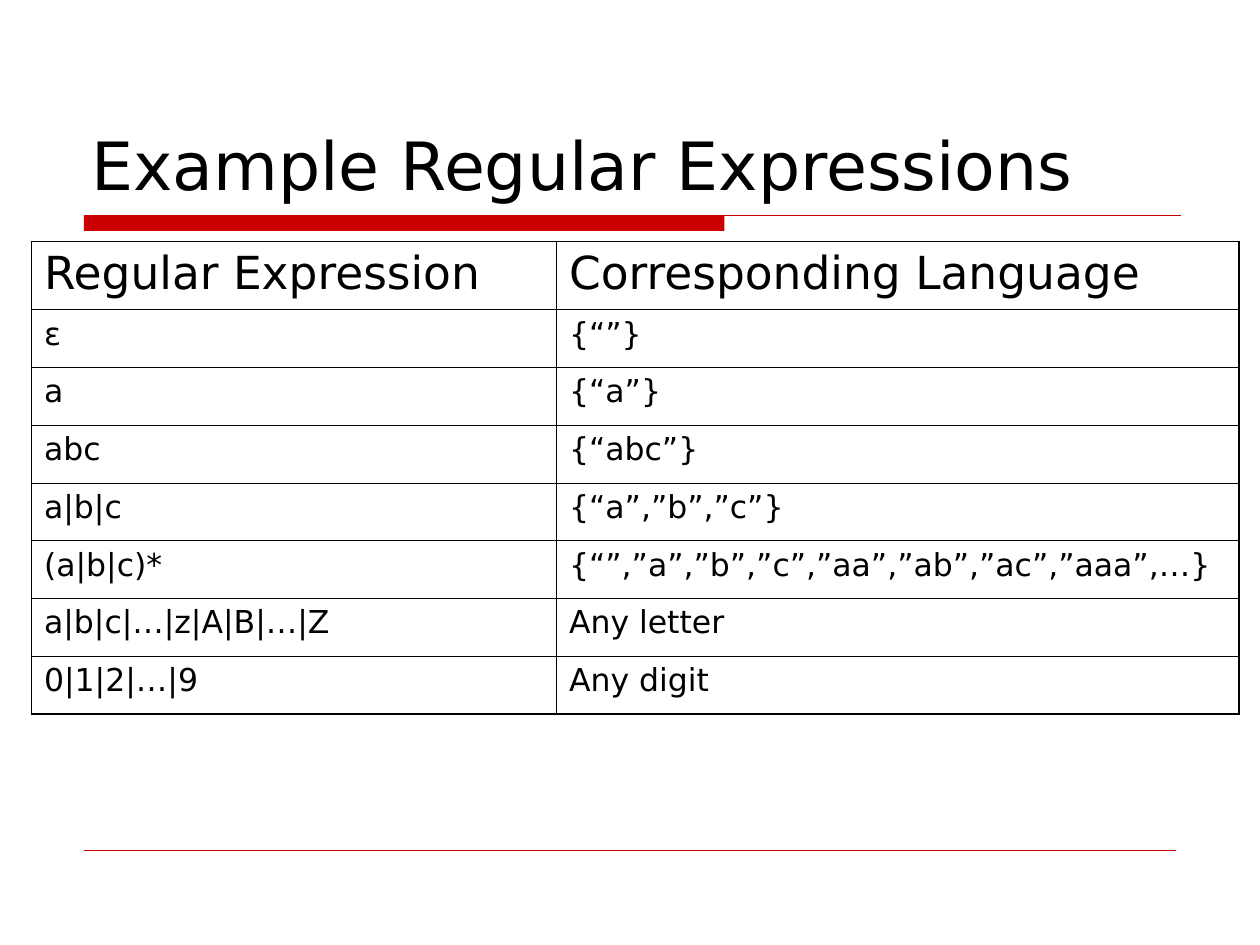
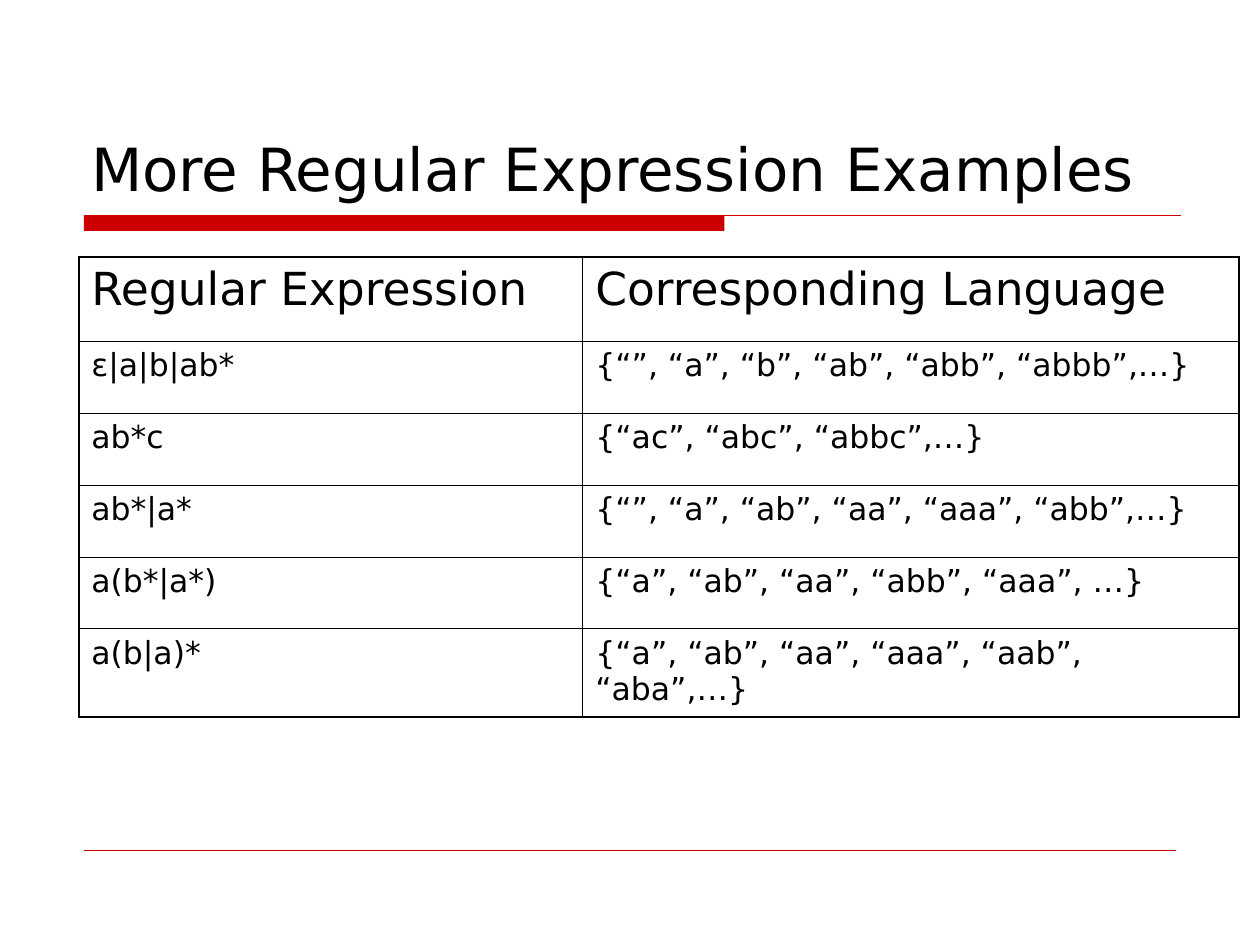
from lxml import etree
from pptx import Presentation
from pptx import util as u
from pptx.dml.color import RGBColor
from pptx.enum import shapes, text
from pptx.oxml.ns import qn

RED, BLACK, WHITE = "CC0000", "000000", "FFFFFF"
FONT = "DejaVu Sans"
HEADINGS = ("Regular Expression", "Corresponding Language")
THICK, THIN = u.Pt(1.08), u.Pt(0.45)

prs = Presentation()
prs.slide_width, prs.slide_height = u.Inches(10), u.Inches(7.5)
G = prs.slide_width // 240  # grid step: 240 columns by 180 rows


def color(value):
    return RGBColor.from_string(value)


def add_run(p, words, size):
    r = p.add_run()
    r.text = words
    r.font.name, r.font.size = FONT, u.Pt(size)
    r.font.color.rgb = color(BLACK)


# Titles and tables; lengths in grid steps
slides = [
    dict(title="Example Regular Expressions", size=38,
         left=6, top=46, cols=(100, 130), head=13, row=11,
         rows=[("ε", "{“”}"),
               ("a", "{“a”}"),
               ("abc", "{“abc”}"),
               ("a|b|c", "{“a”,”b”,”c”}"),
               ("(a|b|c)*", "{“”,”a”,”b”,”c”,”aa”,”ab”,”ac”,”aaa”,…}"),
               ("a|b|c|…|z|A|B|…|Z", "Any letter"),
               ("0|1|2|…|9", "Any digit")]),
    dict(title="More Regular Expression Examples", size=34,
         left=15, top=49, cols=(96, 125), head=16, row=13.7,
         rows=[("ε|a|b|ab*", "{“”, “a”, “b”, “ab”, “abb”, “abbb”,…}"),
               ("ab*c", "{“ac”, “abc”, “abbc”,…}"),
               ("ab*|a*", "{“”, “a”, “ab”, “aa”, “aaa”, “abb”,…}"),
               ("a(b*|a*)", "{“a”, “ab”, “aa”, “abb”, “aaa”, …}"),
               ("a(b|a)*", "{“a”, “ab”, “aa”, “aaa”, “aab”, “aba”,…}")]),
]

for s in slides:
    slide = prs.slides.add_slide(prs.slide_layouts[6])
    slide.background.fill.solid()
    slide.background.fill.fore_color.rgb = color(WHITE)

    # Red bar under the title
    bar = slide.shapes.add_shape(shapes.MSO_SHAPE.RECTANGLE,
                                 16 * G, 41 * G, 122 * G, 3 * G)
    bar.shadow.inherit = False
    bar.fill.solid()
    bar.fill.fore_color.rgb = color(RED)
    bar.line.fill.background()

    # Title rule and footer rule
    for right, y, width in ((225, 41, 0.75), (224, 162, 0.25)):
        rule = slide.shapes.add_connector(shapes.MSO_CONNECTOR.STRAIGHT,
                                          16 * G, y * G, right * G, y * G)
        rule.line.color.rgb = color(RED)
        rule.line.width = u.Pt(width)
        etree.SubElement(rule._element.spPr, qn("a:effectLst"))

    # Title
    tf = slide.shapes.add_textbox(15 * G, 8 * G, 210 * G, 32 * G).text_frame
    tf.word_wrap = True
    tf.vertical_anchor = text.MSO_ANCHOR.BOTTOM
    add_run(tf.paragraphs[0], s["title"], s["size"])

    # Table
    rows = [HEADINGS] + s["rows"]
    heights = [s["head"]] + [s["row"]] * len(s["rows"])
    table = slide.shapes.add_table(
        len(rows), 2, s["left"] * G, s["top"] * G,
        sum(s["cols"]) * G, round(sum(heights) * G)).table
    table.first_row = table.horz_banding = False
    for column, width in zip(table.columns, s["cols"]):
        column.width = width * G
    for row, height in zip(table.rows, heights):
        row.height = round(height * G)

    for i, words in enumerate(rows):
        for j, word in enumerate(words):
            cell = table.cell(i, j)
            p = cell.text_frame.paragraphs[0]
            p.space_before = u.Pt(4.5 if i else 6.5)
            add_run(p, word, 18 if i else 26)

            # Thick lines on the outer edges, thin lines inside
            outer = dict(lnL=j == 0, lnR=j == 1,
                         lnT=i == 0, lnB=i == len(rows) - 1)
            tcPr = cell._tc.get_or_add_tcPr()
            for side, is_outer in outer.items():
                ln = etree.SubElement(tcPr, qn("a:" + side),
                                      w=str(THICK if is_outer else THIN))
                fill = etree.SubElement(ln, qn("a:solidFill"))
                etree.SubElement(fill, qn("a:srgbClr"), val=BLACK)
            cell.fill.background()

prs.save("out.pptx")
